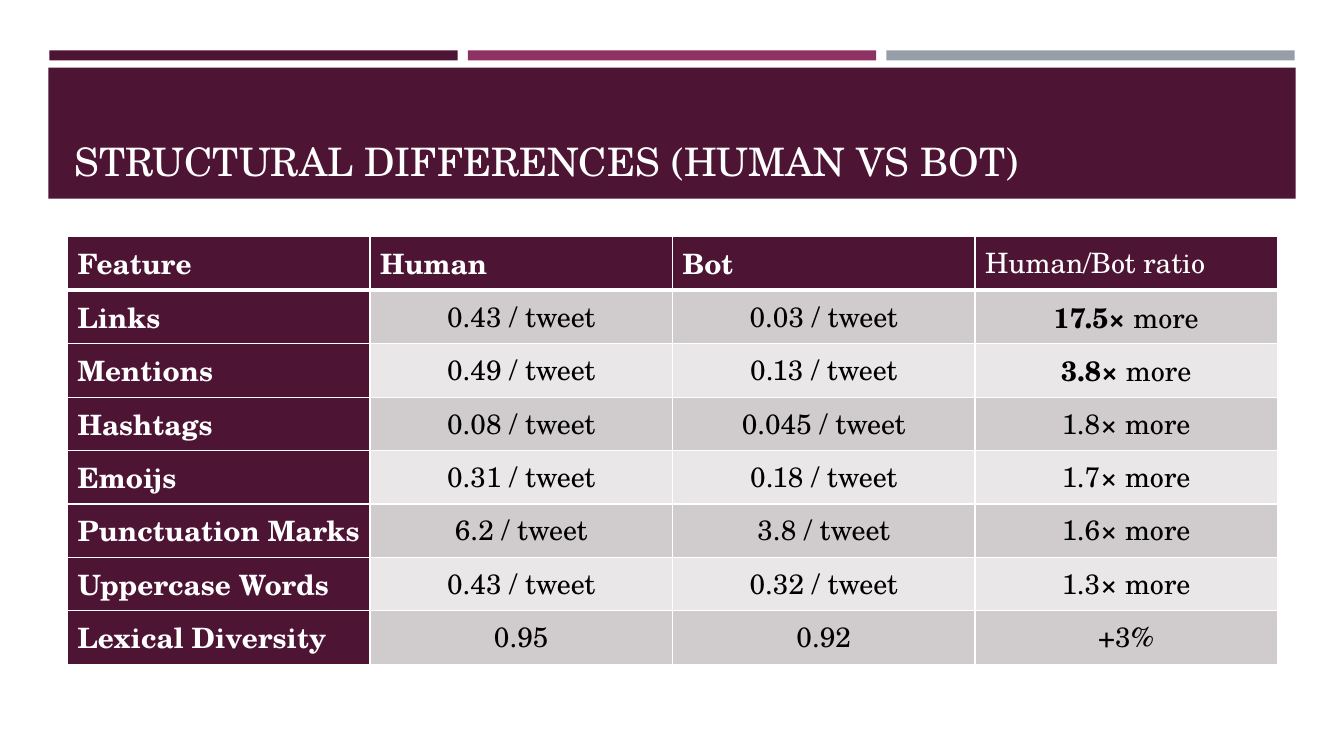
from lxml import etree
from pptx import Presentation, util as u
from pptx.dml.color import RGBColor
from pptx.enum import shapes, text
from pptx.oxml.ns import qn

PLUM, ROSE, GREY, WHITE, BLACK = "4D1434", "903163", "969FA7", "FFFFFF", "000000"
BANDS = "D0CCCE", "E9E7E8"
FONT = "TeX Gyre Schola"

deck = Presentation()
deck.slide_width, deck.slide_height = u.Inches(13.33), u.Inches(7.5)
slide = deck.slides.add_slide(deck.slide_layouts[6])


def paint(fill, tone):
    fill.solid()
    fill.fore_color.rgb = RGBColor.from_string(tone)


def write(frame, words, size=20, tone=BLACK, bold=False, lead="", align=None):
    """Write words, after an optional bold lead, in one paragraph."""
    para = frame.paragraphs[0]
    para.alignment = align
    for part, heavy in ((lead, True), (words, bold)):
        if part:
            run = para.add_run()
            run.text = part
            run.font.name, run.font.size, run.font.bold = FONT, u.Pt(size), heavy
            paint(run.font.fill, tone)


# Three bars on an even pitch, then the title band
bars = [(0.49 + 4.15 * n, 0.5, 4.05, 0.1, tone)
        for n, tone in enumerate((PLUM, ROSE, GREY))]
for *box, tone in bars + [(0.48, 0.67, 12.37, 1.3, PLUM)]:
    bar = slide.shapes.add_shape(shapes.MSO_SHAPE.RECTANGLE, *map(u.Inches, box))
    bar.shadow.inherit = False
    paint(bar.fill, tone)
    bar.line.fill.background()

# Title
title = slide.shapes.add_textbox(*map(u.Inches, (0.64, 0.77, 12.06, 1.11))).text_frame
title.word_wrap = True
title.vertical_anchor = text.MSO_ANCHOR.BOTTOM
write(title, "STRUCTURAL DIFFERENCES (HUMAN VS BOT)", size=28, tone=WHITE)

# Table: a star parts a bold lead from the rest
rows = [
    ("Feature", "Human", "Bot", "Human/Bot ratio"),
    ("Links", "0.43 / tweet", "0.03 / tweet", "17.5×* more"),
    ("Mentions", "0.49 / tweet", "0.13 / tweet", "3.8×* more"),
    ("Hashtags", "0.08 / tweet", "0.045 / tweet", "1.8× more"),
    ("Emoijs", "0.31 / tweet", "0.18 / tweet", "1.7× more"),
    ("Punctuation Marks", "6.2 / tweet", "3.8 / tweet", "1.6× more"),
    ("Uppercase Words", "0.43 / tweet", "0.32 / tweet", "1.3× more"),
    ("Lexical Diversity", "0.95", "0.92", "+3%"),
]
grid = slide.shapes.add_table(len(rows), 4, *map(u.Inches, (0.67, 2.35, 12, 4.24))).table

for r, row in enumerate(rows):
    for c, words in enumerate(row):
        cell = grid.cell(r, c)
        head = r == 0 or c == 0
        lead, _, rest = words.rpartition("*")
        write(cell.text_frame, rest, lead=lead, tone=WHITE if head else BLACK,
              bold=head and words != "Human/Bot ratio",
              align=None if head else text.PP_ALIGN.CENTER)

        # White borders, thick between the header and the body
        props = cell._tc.get_or_add_tcPr()
        for side in "LRTB":
            thick = (r, side) in ((0, "B"), (1, "T"))
            edge = etree.SubElement(props, qn(f"a:ln{side}"), w=str(u.Pt(3 if thick else 1)))
            ink = etree.SubElement(edge, qn("a:solidFill"))
            etree.SubElement(ink, qn("a:srgbClr"), val=WHITE)
        paint(cell.fill, PLUM if head else BANDS[(r - 1) % 2])

deck.save("out.pptx")
